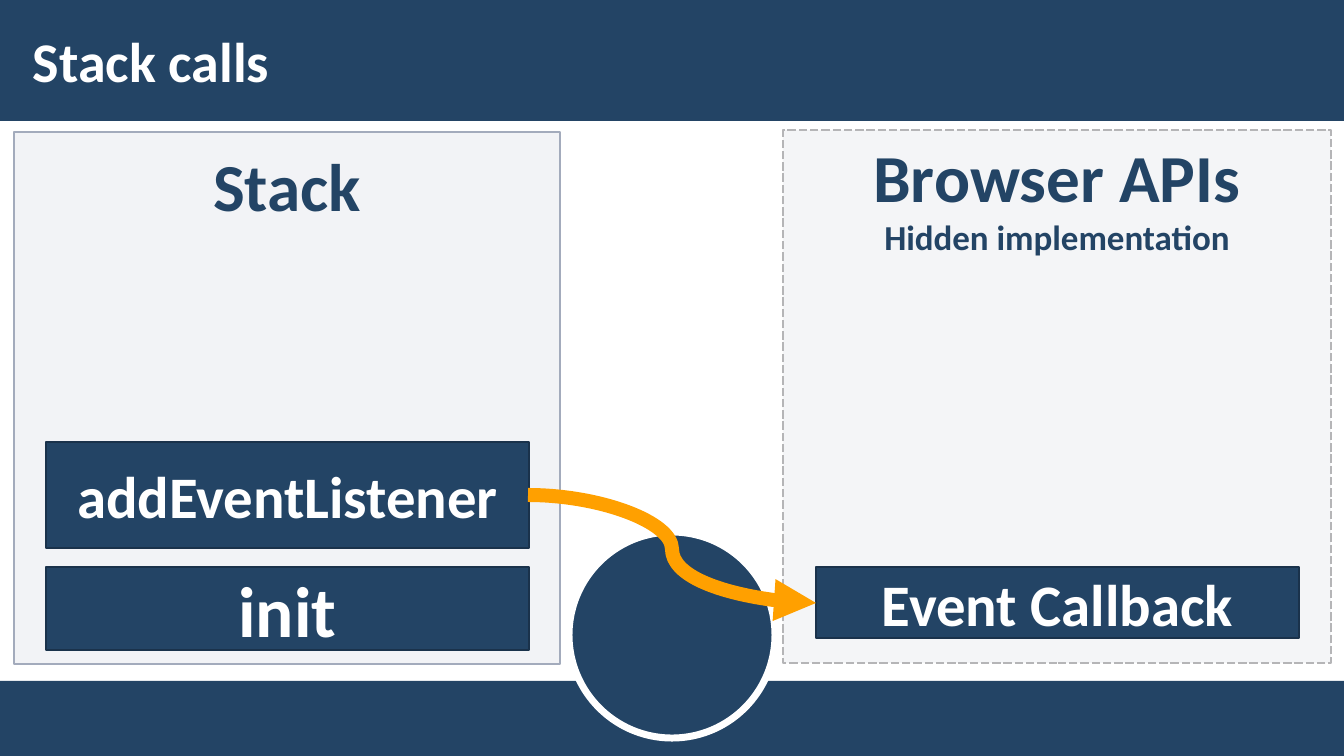
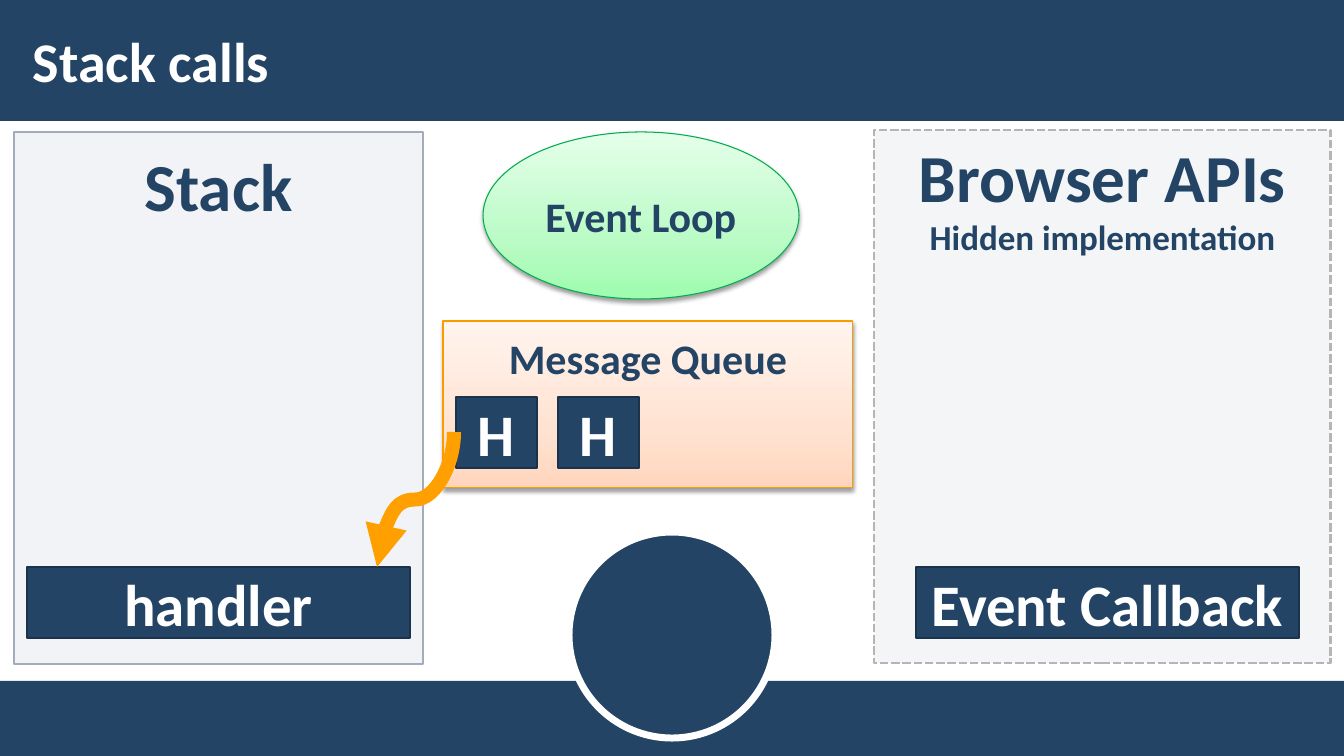
import copy

import lxml.etree
import pptx
import pptx.dml.color
import pptx.enum.dml
import pptx.enum.shapes
import pptx.enum.text
import pptx.oxml.ns
import pptx.util

RGB = pptx.dml.color.RGBColor
SHAPE = pptx.enum.shapes.MSO_SHAPE
ALIGN = pptx.enum.text.PP_ALIGN
ANCHOR = pptx.enum.text.MSO_ANCHOR

NAVY = RGB(0x23, 0x44, 0x65)
NAVY_EDGE = RGB(0x1A, 0x32, 0x4B)
WHITE = RGB(0xFF, 0xFF, 0xFF)
MIST = RGB(0xF4, 0xF5, 0xF7)
GRAY_EDGE = RGB(0xB5, 0xB5, 0xB7)
STEEL = RGB(0xC2, 0xC7, 0xD2)
STEEL_EDGE = RGB(0xA3, 0xAB, 0xBC)
ARROW = RGB(0xFF, 0xA0, 0x00)
ORANGE_EDGE = RGB(0xF9, 0x9C, 0x00)
ORANGES = (RGB(0xFF, 0xD6, 0xBD), RGB(0xFF, 0xE2, 0xD1), RGB(0xFF, 0xF4, 0xEE))
GREEN_EDGE = RGB(0x00, 0xAC, 0x4E)
GREENS = (RGB(0x9D, 0xFC, 0xAE), RGB(0xBB, 0xFB, 0xC6), RGB(0xE4, 0xFF, 0xE9))
BLACK = RGB(0, 0, 0)

FONT = "Calibri"
WIDTH, HEIGHT = 1344, 756
BLOCK_TOP, BLOCK_HEIGHT = 567, 71


def px(length):
    return pptx.util.Emu(round(length * 914400 / 100.8))


def add_node(parent, tag, **attributes):
    return lxml.etree.SubElement(parent, pptx.oxml.ns.qn(tag), attributes)


class Deck:
    def __init__(self):
        self.presentation = pptx.Presentation()
        self.presentation.slide_width = px(WIDTH)
        self.presentation.slide_height = px(HEIGHT)
        self.page = None

    def add_page(self, title, layout):
        self.page = self.presentation.slides.add_slide(
            self.presentation.slide_layouts[layout])
        box = self.page.shapes.title
        self.place(box, 21, 11, 1301, 98)
        self.set_text(box, [(title, 40)], WHITE, ANCHOR.MIDDLE, ALIGN.LEFT, (12, 4))

    def add_master_bands(self):
        bands = [
            self.shape(SHAPE.RECTANGLE, 0, 0, WIDTH, 121, NAVY),
            self.shape(SHAPE.RECTANGLE, 0, 681, WIDTH, 75, NAVY),
            self.shape(SHAPE.OVAL, 569, 532, 206, 206, NAVY, WHITE, 5),
        ]
        tree = self.presentation.slide_master.element.cSld.spTree
        for number, band in enumerate(bands):
            band.element.nvSpPr.cNvPr.set("id", str(20 + number))
            tree.insert(2 + number, band.element)

    def place(self, box, left, top, width, height):
        box.left, box.top = px(left), px(top)
        box.width, box.height = px(width), px(height)

    def set_text(self, box, lines, color, anchor, align=ALIGN.CENTER, insets=(10, 5)):
        frame = box.text_frame
        frame.text = "\n".join(text for text, size in lines)
        frame.word_wrap = True
        frame.auto_size = pptx.enum.text.MSO_AUTO_SIZE.NONE
        frame.vertical_anchor = anchor
        frame.margin_left = frame.margin_right = px(insets[0])
        frame.margin_top = frame.margin_bottom = px(insets[1])
        for para, (text, size) in zip(frame.paragraphs, lines):
            para.alignment = align
            para.space_before = pptx.util.Pt(0)
            for span in para.runs:
                span.font.name = FONT
                span.font.size = pptx.util.Pt(size)
                span.font.bold = True
                span.font.color.rgb = color

    def outline(self, box, color, weight):
        box.line.color.rgb = color
        box.line.width = pptx.util.Pt(weight)

    def shape(self, kind, left, top, width, height, fill, edge=None, weight=1):
        box = self.page.shapes.add_shape(
            kind, px(left), px(top), px(width), px(height))
        box.shadow.inherit = False
        box.fill.solid()
        box.fill.fore_color.rgb = fill
        if edge is None:
            box.line.fill.background()
        else:
            self.outline(box, edge, weight)
        return box

    def body(self, index, text, size, left, top, width, height):
        box = self.page.placeholders[index]
        self.place(box, left, top, width, height)
        self.set_text(box, [(text, size)], NAVY, ANCHOR.TOP, insets=(16, 12))
        properties = box.text_frame.paragraphs[0]._p.get_or_add_pPr()
        properties.set("marL", "0")
        properties.set("indent", "0")
        add_node(properties, "a:buNone")
        return box

    def stack_panel(self, width):
        box = self.body(1, "Stack", 48, 14, 132, width, 532)
        box.fill.solid()
        box.fill.fore_color.rgb = STEEL
        color = box.element.spPr.find(".//" + pptx.oxml.ns.qn("a:srgbClr"))
        add_node(color, "a:alpha", val="20000")
        self.outline(box, STEEL_EDGE, 1)

    def browser_panel(self, left):
        box = self.shape(SHAPE.RECTANGLE, left, 130, 1331 - left, 533,
                         MIST, GRAY_EDGE, 2)
        box.line.dash_style = pptx.enum.dml.MSO_LINE.SQUARE_DOT
        self.set_text(box, [("Browser APIs", 48), ("Hidden implementation", 25)],
                      NAVY, ANCHOR.TOP)

    def block(self, text, left, width, top=BLOCK_TOP, height=BLOCK_HEIGHT, size=42):
        box = self.shape(SHAPE.RECTANGLE, left, top, width, height,
                         NAVY, NAVY_EDGE, 2)
        self.set_text(box, [(text, size)], WHITE, ANCHOR.MIDDLE)

    def glow(self, box, colors, edge):
        box.fill.gradient()
        box.fill.gradient_angle = 90
        stops = box.element.spPr.find(".//" + pptx.oxml.ns.qn("a:gsLst"))
        stops.insert(1, copy.deepcopy(stops[0]))
        for stop, color, position in zip(box.fill.gradient_stops, colors, (0, 0.35, 1)):
            stop.color.rgb = color
            stop.position = position
        self.outline(box, edge, 0.75)
        box.shadow.inherit = False
        effects = box.element.spPr.find(pptx.oxml.ns.qn("a:effectLst"))
        shadow = add_node(effects, "a:outerShdw", blurRad="40000", dist="20000",
                          dir="5400000", rotWithShape="0")
        color = add_node(shadow, "a:srgbClr", val=str(BLACK))
        add_node(color, "a:alpha", val="38000")

    def event_loop(self):
        box = self.shape(SHAPE.OVAL, 483, 132, 316, 167, WHITE)
        self.glow(box, GREENS, GREEN_EDGE)
        self.set_text(box, [("Event Loop", 30)], NAVY, ANCHOR.MIDDLE)

    def message_queue(self, handlers):
        box = self.body(2, "Message Queue", 30, 443, 321, 410, 167)
        self.glow(box, ORANGES, ORANGE_EDGE)
        for slot in range(handlers):
            self.block("H", 456 + 102 * slot, 81, top=397)

    def arrow(self, x1, y1, x2, y2, downward=False):
        if downward:
            middle_x, middle_y = (x1 + x2) / 2, (y1 + y2) / 2
            half_length, half_drift = (y2 - y1) / 2, (x1 - x2) / 2
            x1, x2 = middle_x - half_length, middle_x + half_length
            y1, y2 = middle_y - half_drift, middle_y + half_drift
        curve = self.page.shapes.add_connector(
            pptx.enum.shapes.MSO_CONNECTOR.CURVE, px(x1), px(y1), px(x2), px(y2))
        self.outline(curve, ARROW, 10)
        properties = curve.element.spPr
        if downward:
            properties.find(pptx.oxml.ns.qn("a:xfrm")).set("rot", "5400000")
        add_node(properties.find(pptx.oxml.ns.qn("a:ln")), "a:tailEnd", type="triangle")
        add_node(properties, "a:effectLst")


def main():
    deck = Deck()

    deck.add_page("Stack calls", 1)
    deck.add_master_bands()
    deck.stack_panel(546)
    deck.browser_panel(783)
    deck.block("init", 46, 483, height=83, size=51)
    deck.block("addEventListener", 46, 483, top=442, height=106)
    deck.block("Event Callback", 816, 483)
    deck.arrow(528, 495, 816, 603)

    deck.add_page("Stack calls", 3)
    deck.stack_panel(409)
    deck.browser_panel(874)
    deck.block("Event Callback", 916, 383)
    deck.block("handler", 27, 383)
    deck.event_loop()
    deck.message_queue(2)
    deck.arrow(454, 432, 377, 567, downward=True)

    deck.presentation.save("out.pptx")


if __name__ == "__main__":
    main()
